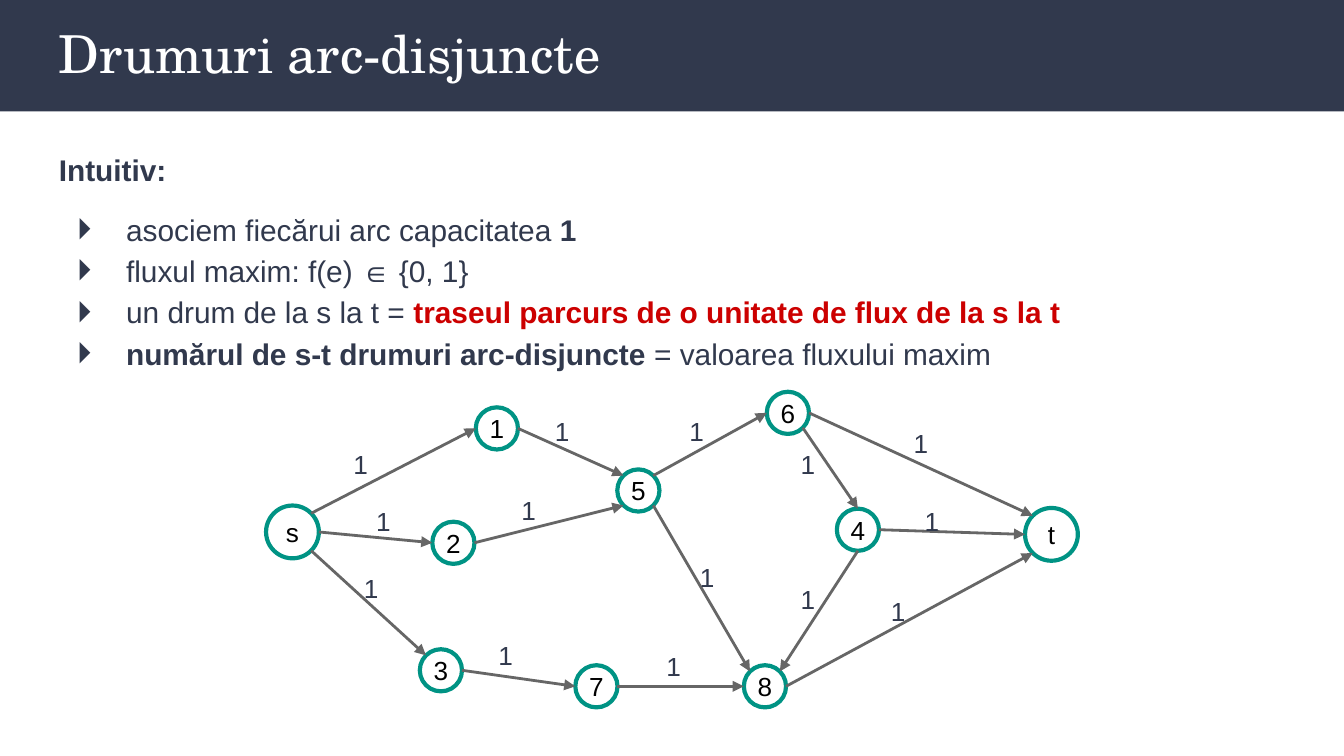
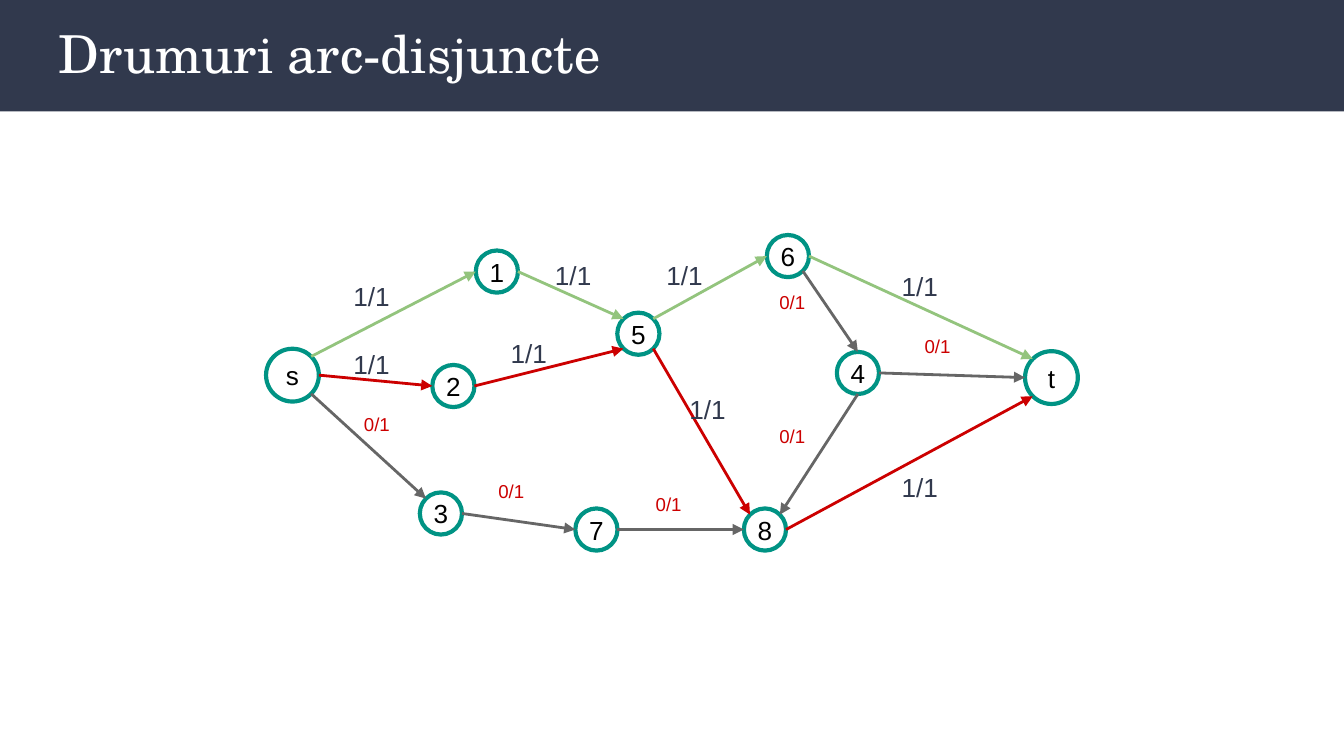
from collections import namedtuple
from math import sqrt

from lxml.etree import SubElement
from pptx import Presentation
from pptx.dml.color import RGBColor
from pptx.enum.shapes import MSO_CONNECTOR as Link, MSO_SHAPE as Preset
from pptx.enum.text import MSO_ANCHOR as Anchor, MSO_AUTO_SIZE as Fit, PP_ALIGN as Align
from pptx.oxml.ns import qn
from pptx.util import Pt

# Shared look
NAVY, TEAL, GREY = "31394D", "009384", "666666"
RED, GREEN, WHITE, BLACK = "CC0000", "93C47D", "FFFFFF", "000000"
TITLE_FONT, BODY_FONT = "TeX Gyre Schola", "Arial"
SLIDE_WIDTH, SLIDE_HEIGHT, BAND_HEIGHT = 720, 405, 59.7
MARGIN, TEXT_WIDTH, INSET = 24.5, 671, 7.2
TITLE = "Drumuri arc-disjuncte"

# Graph: node name -> centre and diameter
SMALL, LARGE = 22.6, 28.3
NODES = {
    "s": (156.7, 285, LARGE), "1": (266.2, 229.5, SMALL),
    "t": (563.3, 286.3, LARGE), "2": (242.9, 290.8, SMALL),
    "3": (236.2, 359.1, SMALL), "4": (459.6, 283.8, SMALL),
    "5": (342, 262.8, SMALL), "6": (422.1, 221.2, SMALL),
    "7": (319.5, 367.7, SMALL), "8": (409.8, 367.7, SMALL),
}
FLOW_SHIFT = -84  # the flow graph sits higher on its slide

# Connection sites of an ellipse, in preset order, as unit directions
DIAGONAL = 1 / sqrt(2)
SITES = {
    "T": (0, -1), "TL": (-DIAGONAL, -DIAGONAL), "L": (-1, 0), "BL": (-DIAGONAL, DIAGONAL),
    "B": (0, 1), "BR": (DIAGONAL, DIAGONAL), "R": (1, 0), "TR": (DIAGONAL, -DIAGONAL),
}
SITE_ORDER = list(SITES)

# Arcs: ends with their sites, path colour (GREY = no flow), label corners
Arc = namedtuple("Arc", "tail tail_site head head_site colour capacity_at flow_at")
ARCS = [
    Arc("s", "TR", "1", "L", GREEN, (182.2, 233.3), (182.2, 143.3)),
    Arc("s", "R", "2", "L", RED, (194.4, 263.5), (182.2, 179.3)),
    Arc("s", "BR", "3", "TL", GREY, (187.9, 299.5), (187.9, 215.3)),
    Arc("1", "R", "5", "TL", GREEN, (290.2, 215.3), (290.2, 131.8)),
    Arc("2", "R", "5", "BL", RED, (272.2, 257.8), (266.4, 173.5)),
    Arc("3", "R", "7", "L", GREY, (259.9, 335.5), (259.9, 251.3)),
    Arc("5", "TR", "6", "L", GREEN, (362.2, 215.3), (349.9, 131.8)),
    Arc("5", "BR", "8", "TL", RED, (367.9, 293.8), (362.2, 203.8)),
    Arc("7", "R", "8", "L", GREY, (349.9, 341.3), (344.2, 257.8)),
    Arc("6", "BR", "4", "T", GREY, (421.9, 233.3), (410.4, 149.8)),
    Arc("4", "B", "8", "TR", GREY, (421.9, 305.3), (410.4, 221.8)),
    Arc("6", "R", "t", "TL", GREEN, (482.4, 221.8), (475.9, 137.5)),
    Arc("4", "R", "t", "L", GREY, (488.2, 263.5), (488.2, 173.5)),
    Arc("8", "R", "t", "BL", RED, (470.2, 311.8), (475.9, 245.5)),
]

# Body text: runs of (text, bold, colour)
HEADING = [("Intuitiv:", True, NAVY)]
IDEAS = [
    [("asociem fiecărui arc capacitatea ", False, NAVY), ("1", True, NAVY)],
    [("fluxul maxim: f(e) ∈ {0, 1}", False, NAVY)],
    [("un drum de la s la t = ", False, NAVY),
     ("traseul parcurs de o unitate de flux de la s la t", True, RED)],
    [("numărul de s-t drumuri arc-disjuncte ", True, NAVY),
     ("= valoarea fluxului maxim", False, NAVY)],
]


def rgb(colour):
    return RGBColor.from_string(colour)


def set_all(target, values):
    for name, value in values.items():
        setattr(target, name, value)


def set_insets(frame, inset):
    set_all(frame, {f"margin_{side}": Pt(inset) for side in ("left", "top", "right", "bottom")})


def add_run(paragraph, text, size, colour, font=BODY_FONT, bold=False):
    run = paragraph.add_run()
    run.text = text
    set_all(run.font, {"name": font, "size": Pt(size), "bold": bold})
    run.font.color.rgb = rgb(colour)


def add_text_frame(slide, left, top, width, height):
    frame = slide.shapes.add_textbox(Pt(left), Pt(top), Pt(width), Pt(height)).text_frame
    frame.word_wrap = True
    set_insets(frame, INSET)
    return frame


def add_titled_slide(deck):
    slide = deck.slides.add_slide(deck.slide_layouts[6])
    band = slide.shapes.add_shape(Preset.RECTANGLE, 0, 0, Pt(SLIDE_WIDTH), Pt(BAND_HEIGHT))
    band.shadow.inherit = False
    band.fill.solid()
    band.fill.fore_color.rgb = rgb(NAVY)
    band.line.fill.background()
    title = add_text_frame(slide, MARGIN, 4.3, TEXT_WIDTH, 49)
    add_run(title.paragraphs[0], TITLE, 28, WHITE, TITLE_FONT)
    return slide


def add_node(slide, name, shift):
    x, y, size = NODES[name]
    node = slide.shapes.add_shape(Preset.OVAL, Pt(x - size / 2), Pt(y + shift - size / 2),
                                  Pt(size), Pt(size))
    node.shadow.inherit = False
    node.fill.background()
    node.line.color.rgb = rgb(TEAL)
    node.line.width = Pt(2.25)
    set_insets(node.text_frame, 1.4)
    node.text_frame.vertical_anchor = Anchor.MIDDLE
    caption = node.text_frame.paragraphs[0]
    caption.alignment = Align.CENTER
    add_run(caption, name, 14, BLACK)
    return node


def site_point(name, site, shift):
    x, y, size = NODES[name]
    dx, dy = SITES[site]
    return Pt(x + dx * size / 2), Pt(y + shift + dy * size / 2)


def add_arc(slide, arc, nodes, colour, shift):
    arrow = slide.shapes.add_connector(Link.STRAIGHT,
                                       *site_point(arc.tail, arc.tail_site, shift),
                                       *site_point(arc.head, arc.head_site, shift))
    arrow.line.color.rgb = rgb(colour)
    arrow.line.width = Pt(1.5)
    properties = arrow._element.spPr
    SubElement(properties.find(qn("a:ln")), qn("a:tailEnd"), type="triangle")
    SubElement(properties, qn("a:effectLst"))
    # Ellipses have eight sites, so the joints are written directly
    joints = arrow._element.nvCxnSpPr.cNvCxnSpPr
    for tag, name, site in (("a:stCxn", arc.tail, arc.tail_site),
                            ("a:endCxn", arc.head, arc.head_site)):
        SubElement(joints, qn(tag), id=str(nodes[name].shape_id),
                   idx=str(SITE_ORDER.index(site)))


def add_graph(slide, colours, shift=0):
    nodes = {name: add_node(slide, name, shift) for name in NODES}
    for arc, colour in zip(ARCS, colours):
        add_arc(slide, arc, nodes, colour, shift)


def add_label(slide, corner, text, width, height, size=14, colour=NAVY):
    label = add_text_frame(slide, *corner, width, height)
    label.auto_size = Fit.SHAPE_TO_FIT_TEXT
    add_run(label.paragraphs[0], text, size, colour)


def add_bullet(paragraph):
    properties = paragraph._p.get_or_add_pPr()
    set_all_xml = {"marL": Pt(36), "indent": Pt(-26.6)}
    for name, length in set_all_xml.items():
        properties.set(name, str(int(length)))
    SubElement(SubElement(properties, qn("a:buClr")), qn("a:srgbClr"), val=NAVY)
    SubElement(properties, qn("a:buFont"), typeface=BODY_FONT)
    SubElement(properties, qn("a:buChar"), char="⏵")


def add_explanation(slide):
    frame = add_text_frame(slide, MARGIN, 71.3, TEXT_WIDTH, 327.6)
    for row, runs in enumerate([HEADING, *IDEAS]):
        paragraph = frame.add_paragraph() if row else frame.paragraphs[0]
        if row:
            add_bullet(paragraph)
        set_all(paragraph, {"line_spacing": 1.15, "space_before": Pt(10 if row == 1 else 0)})
        for text, bold, colour in runs:
            add_run(paragraph, text, 16, colour, bold=bold)


def main():
    deck = Presentation()
    set_all(deck, {"slide_width": Pt(SLIDE_WIDTH), "slide_height": Pt(SLIDE_HEIGHT)})

    # Slide 1: every arc has capacity 1
    capacities = add_titled_slide(deck)
    add_graph(capacities, [GREY] * len(ARCS))
    add_explanation(capacities)
    for arc in ARCS:
        add_label(capacities, arc.capacity_at, "1", 22.4, 31.7)

    # Slide 2: the maximum flow and its two disjoint paths
    flow = add_titled_slide(deck)
    add_graph(flow, [arc.colour for arc in ARCS], FLOW_SHIFT)
    for arc in ARCS:
        if arc.colour == GREY:
            add_label(flow, arc.flow_at, "0/1", 40.3, 26.6, 10, RED)
        else:
            add_label(flow, arc.flow_at, "1/1", 34.6, 31.7)

    deck.save("out.pptx")


if __name__ == "__main__":
    main()
